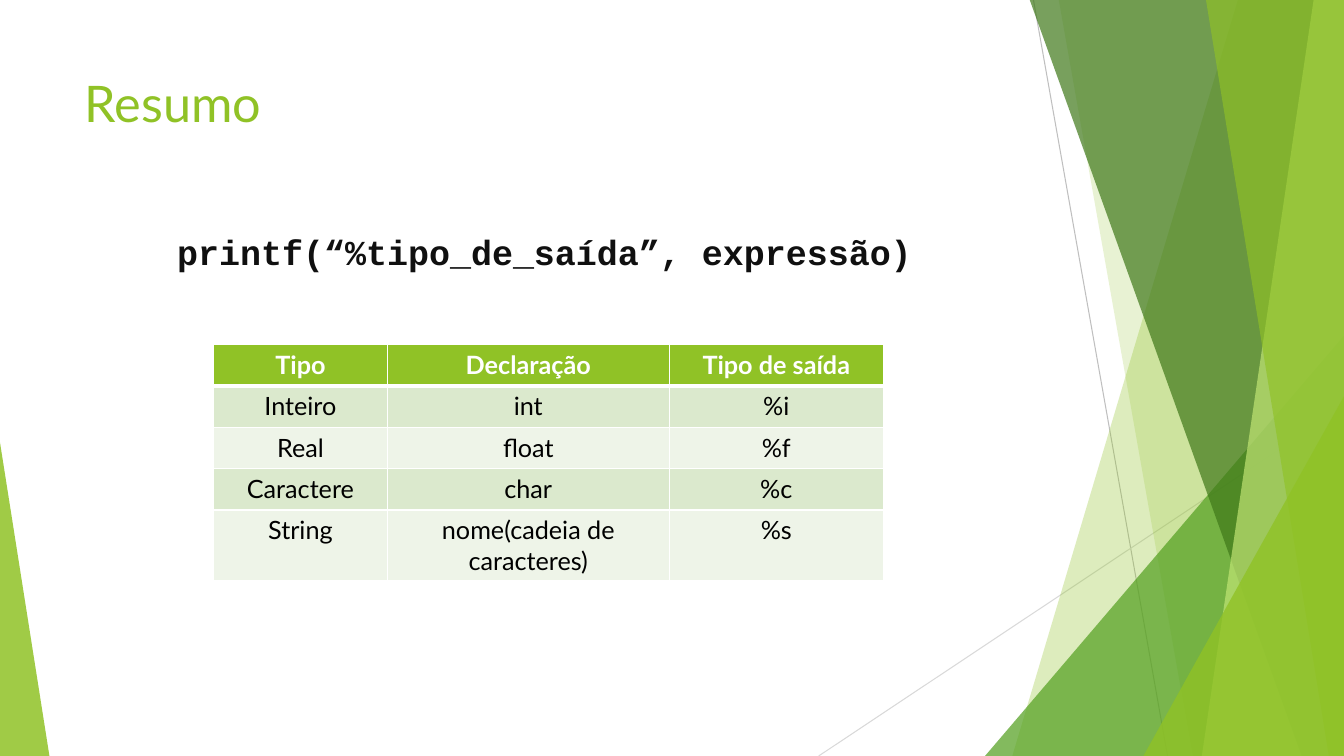
from lxml import etree
from pptx import Presentation, util as u
from pptx.dml.color import RGBColor
from pptx.enum import shapes, text
from pptx.oxml import ns

COLORS = {
    "white": "FFFFFF", "black": "000000", "ink": "101010",
    "green": "90C226", "leaf": "54A021", "forest": "3F7819", "lime": "C0E474",
    "band_dark": "DBE9CD", "band_light": "EEF4E8",
    "gray": "BFBFBF", "light_gray": "D9D9D9",
}
WIDTH, HEIGHT = 13.33, 7.5
BAND_TOP = -0.01

# Bands reach the right edge: top left x, bottom left x, color, opacity
BACK_BANDS = [(12.28, 10.04, "green", 30), (10.5, 11.83, "green", 20)]
FRONT_BANDS = [
    (10.21, 12.91, "forest", 70),
    (13.03, 11.92, "lime", 70),
    (11.96, 13.18, "green", 65),
]
COLUMN_WIDTHS = [1.72, 2.8, 2.12]
ROW_HEIGHT = 0.41
TYPES = [
    ["Tipo", "Declaração", "Tipo de saída"],
    ["Inteiro", "int", "%i"],
    ["Real", "float", "%f"],
    ["Caractere", "char", "%c"],
    ["String", "nome(cadeia de caracteres)", "%s"],
]


def rgb(color):
    return RGBColor.from_string(COLORS[color])


class SlideBuilder:
    """Holds the style and the slide being drawn."""

    font = "Lato"
    code_font = "Courier New"

    def __init__(self, slide):
        self.slide = slide
        self.shapes = slide.shapes

    def style_font(self, paragraph, size, color, bold=False, name=None):
        font = paragraph.font
        font.name = name or self.font
        font.size = u.Pt(size)
        font.bold = bold
        font.color.rgb = rgb(color)

    def paint(self, shape, color, opacity):
        """Fill a shape with a see-through color, without line or shadow."""
        shape.shadow.inherit = False
        shape.line.fill.background()
        shape.fill.solid()
        shape.fill.fore_color.rgb = rgb(color)
        color_element = shape._element.spPr.find(".//" + ns.qn("a:srgbClr"))
        alpha = etree.SubElement(color_element, ns.qn("a:alpha"))
        alpha.set("val", str(opacity * 1000))

    def line(self, start, end, color):
        points = [u.Inches(value) for value in (*start, *end)]
        connector = self.shapes.add_connector(shapes.MSO_CONNECTOR.STRAIGHT, *points)
        connector.line.width = u.Pt(0.75)
        connector.line.color.rgb = rgb(color)
        etree.SubElement(connector._element.spPr, ns.qn("a:effectLst"))

    def band(self, top_left, bottom_left, color, opacity):
        builder = self.shapes.build_freeform(u.Inches(top_left), u.Inches(BAND_TOP))
        corners = [(WIDTH, BAND_TOP), (WIDTH, HEIGHT), (bottom_left, HEIGHT)]
        builder.add_line_segments([(u.Inches(x), u.Inches(y)) for x, y in corners])
        self.paint(builder.convert_to_shape(), color, opacity)

    def triangle(self, left, top, width, apex, color, opacity):
        """Draw a triangle standing on the slide's bottom edge."""
        shape = self.shapes.add_shape(
            shapes.MSO_SHAPE.ISOSCELES_TRIANGLE, u.Inches(left), u.Inches(top),
            u.Inches(width), u.Inches(HEIGHT - top))
        shape.adjustments[0] = apex
        self.paint(shape, color, opacity)

    def title(self, words):
        title = self.shapes.title
        title.left, title.top = u.Inches(0.74), u.Inches(0.67)
        title.width, title.height = u.Inches(9.4), u.Inches(1.44)
        frame = title.text_frame
        frame.text = words
        frame.vertical_anchor = text.MSO_ANCHOR.TOP
        paragraph = frame.paragraphs[0]
        paragraph.alignment = text.PP_ALIGN.LEFT
        self.style_font(paragraph, 36, "green")

    def code(self, words):
        box = self.shapes.add_textbox(
            u.Inches(1.66), u.Inches(2.24), u.Inches(7.56), u.Inches(0.52))
        frame = box.text_frame
        frame.word_wrap = False
        frame.auto_size = text.MSO_AUTO_SIZE.SHAPE_TO_FIT_TEXT
        frame.text = words
        self.style_font(frame.paragraphs[0], 25, "ink", True, self.code_font)

    def cell_borders(self, cell, bottom):
        """Draw white borders; the bottom one has its own width in points."""
        properties = cell._tc.get_or_add_tcPr()
        widths = {"a:lnL": 1, "a:lnR": 1, "a:lnT": 1, "a:lnB": bottom}
        for position, (tag, width) in enumerate(widths.items()):
            border = etree.Element(ns.qn(tag), w=str(u.Pt(width)))
            fill = etree.SubElement(border, ns.qn("a:solidFill"))
            etree.SubElement(fill, ns.qn("a:srgbClr"), val=COLORS["white"])
            properties.insert(position, border)

    def table(self, rows):
        table = self.shapes.add_table(
            len(rows), len(COLUMN_WIDTHS), u.Inches(2.12), u.Inches(3.42),
            u.Inches(sum(COLUMN_WIDTHS)), u.Inches(ROW_HEIGHT * len(rows))).table
        for column, width in zip(table.columns, COLUMN_WIDTHS):
            column.width = u.Inches(width)
        for row_index, row in enumerate(rows):
            header = row_index == 0
            band = "band_dark" if row_index % 2 else "band_light"
            for column_index, words in enumerate(row):
                cell = table.cell(row_index, column_index)
                cell.text = words
                cell.fill.solid()
                cell.fill.fore_color.rgb = rgb("green" if header else band)
                self.cell_borders(cell, 3 if header else 1)
                paragraph = cell.text_frame.paragraphs[0]
                paragraph.alignment = text.PP_ALIGN.CENTER
                self.style_font(paragraph, 18, "white" if header else "black", header)


def main():
    presentation = Presentation()
    presentation.slide_width = u.Inches(WIDTH)
    presentation.slide_height = u.Inches(HEIGHT)
    title_only = presentation.slide_layouts[5]
    builder = SlideBuilder(presentation.slides.add_slide(title_only))

    builder.line((10.25, 0), (11.58, HEIGHT), "gray")
    builder.line((WIDTH, 4.03), (8.12, HEIGHT), "light_gray")
    for band in BACK_BANDS:
        builder.band(*band)
    builder.triangle(9.77, 3.33, 3.56, 1, "leaf", 72)
    for band in FRONT_BANDS:
        builder.band(*band)
    builder.triangle(11.34, 3.93, 1.99, 1, "green", 80)
    builder.triangle(0, 4.39, 0.49, 0, "green", 85)

    builder.title("Resumo")
    builder.table(TYPES)
    builder.code("printf(“%tipo_de_saída”, expressão)")
    presentation.save("out.pptx")


if __name__ == "__main__":
    main()
